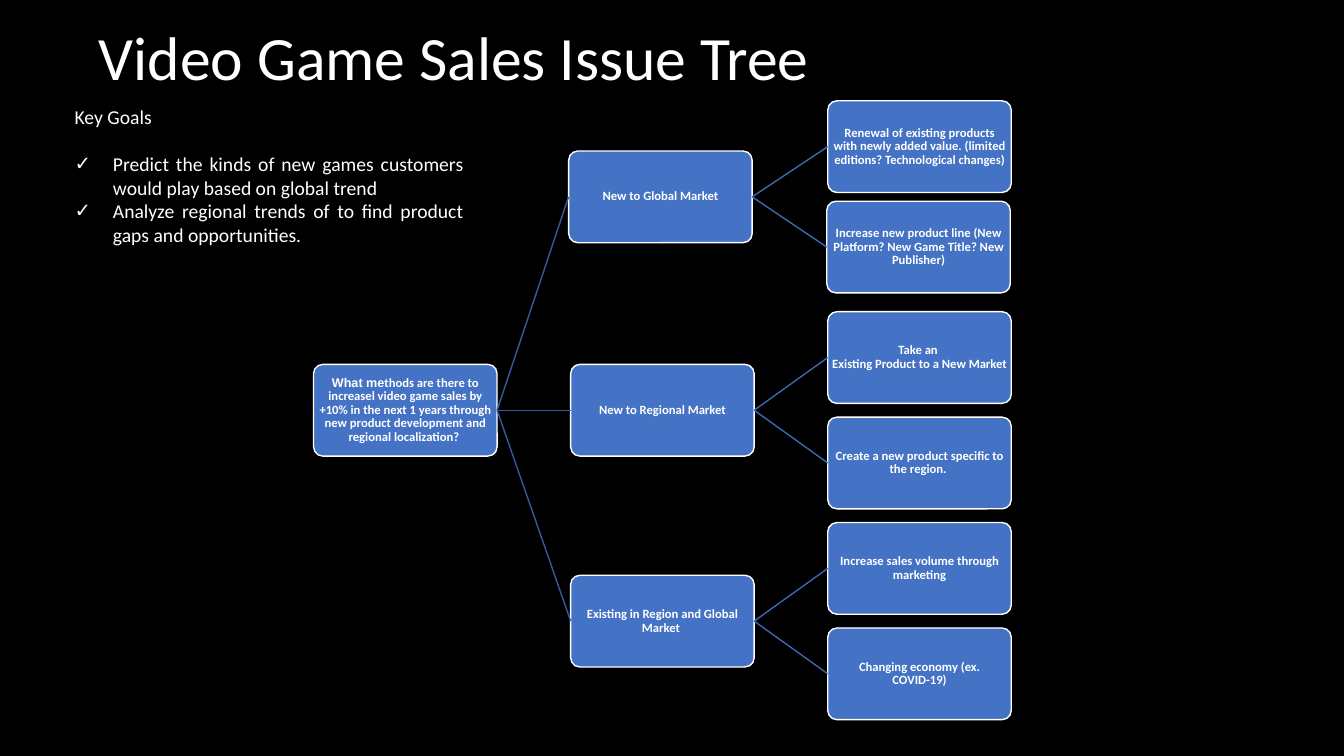
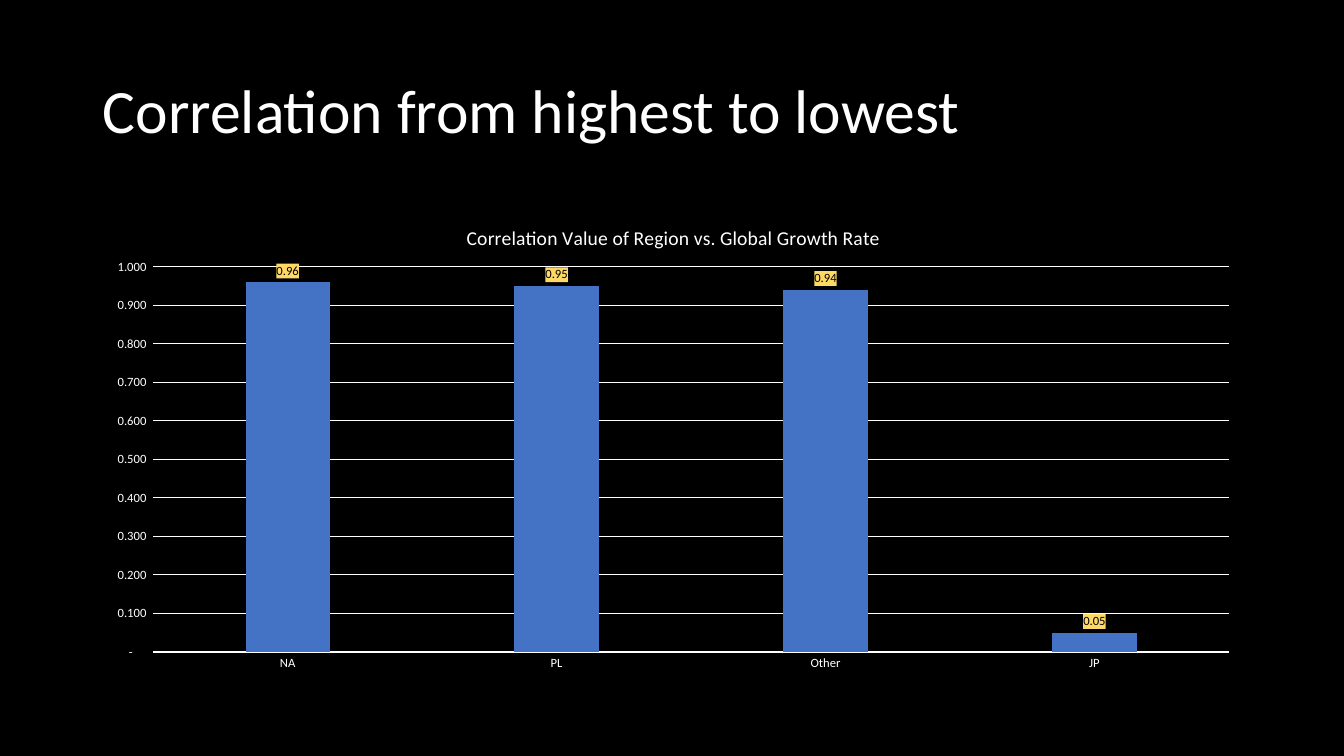
from lxml import etree
from pptx import Presentation
from pptx.chart.data import CategoryChartData
from pptx.dml.color import RGBColor
from pptx.enum.chart import XL_CHART_TYPE, XL_LABEL_POSITION, XL_TICK_MARK
from pptx.enum.shapes import MSO_CONNECTOR, MSO_SHAPE
from pptx.enum.text import MSO_ANCHOR, MSO_AUTO_SIZE, PP_ALIGN
from pptx.oxml import parse_xml
from pptx.oxml.ns import nsdecls, qn
from pptx.util import Inches, Pt

COLUMNS = XL_CHART_TYPE.COLUMN_CLUSTERED
OUTSIDE = XL_LABEL_POSITION.OUTSIDE_END
NO_TICK = XL_TICK_MARK.NONE
STRAIGHT = MSO_CONNECTOR.STRAIGHT
ROUNDED = MSO_SHAPE.ROUNDED_RECTANGLE
TOP, MIDDLE = MSO_ANCHOR.TOP, MSO_ANCHOR.MIDDLE
LEFT, CENTER, JUSTIFY = PP_ALIGN.LEFT, PP_ALIGN.CENTER, PP_ALIGN.JUSTIFY
LEFT_SITE, RIGHT_SITE = 1, 3  # connection sites of a rounded box

BLACK = RGBColor(0x00, 0x00, 0x00)
WHITE = RGBColor(0xFF, 0xFF, 0xFF)
BLUE = RGBColor(0x44, 0x72, 0xC4)
ROOT_LINK = RGBColor(0x36, 0x5B, 0x9D)
LEAF_LINK = RGBColor(0x3E, 0x67, 0xB2)
LABEL_YELLOW = "FFD966"

FONT = "Calibri"
TITLE_FORMAT = {"name": FONT, "size": Pt(44), "bold": False}
GOAL_FORMAT = {"name": FONT, "size": Pt(14)}
NODE_FORMAT = {"name": FONT, "size": Pt(9), "bold": True}
AXIS_FORMAT = {"name": FONT, "size": Pt(9), "bold": False}
CHART_TITLE_FORMAT = {"name": FONT, "size": Pt(14), "bold": False}
NO_MARGINS = dict.fromkeys(
    ("margin_left", "margin_top", "margin_right", "margin_bottom"), 0)
NODE_MARGINS = dict.fromkeys(NO_MARGINS, Inches(0.01))

# Issue tree grid, in inches
NODE_W, NODE_H = 1.82, 0.91
COLUMN_PITCH, ROW_PITCH = 2.55, 1.046

GOALS = [
    "Predict the kinds of new games customers would play based on global trend",
    "Analyze regional trends of to find product gaps and opportunities.",
]
QUESTION_LEAD = "What me"
QUESTION = ("thods are there to increasel video game sales by +10% in the next "
            "1 years through new product development and regional localization? ")
# Branch, its shift, and its leaves with their shifts (inches)
BRANCHES = [
    ("New to Global Market", -0.02, [
        ("Renewal of existing products with newly added value. "
         "(limited editions? Technological changes)", 0, 0),
        ("Increase new product line (New Platform? New Game Title? "
         "New Publisher)", -0.01, -0.05)]),
    ("New to Regional Market", 0, [
        ("Take an \nExisting Product to a New Market", 0, 0),
        ("Create a new product specific to the region. ", 0, 0)]),
    ("Existing in Region and Global Market ", 0, [
        ("Increase sales volume through marketing", 0, 0),
        ("Changing economy (ex. COVID-19)", 0, 0)]),
]
CORRELATIONS = {"NA": 0.96, "PL": 0.95, "Other": 0.94, "JP": 0.05}
CORRELATION_FORMAT = (r'_(* #,##0.000_);_(* \(#,##0.000\);'
                      r'_(* "-"??_);_(@_)')


def apply(target, formats):
    for attribute, value in formats.items():
        setattr(target, attribute, value)


def style_font(font, formats, color=WHITE):
    apply(font, formats)
    font.color.rgb = color


def place(part, box):
    apply(part, dict(zip(("left", "top", "width", "height"),
                         map(Inches, box))))


def add_titled_slide(prs, layout, title, box, anchor, spacing, margins):
    slide = prs.slides.add_slide(prs.slide_layouts[layout])
    heading = slide.shapes.title
    place(heading, box)
    frame = heading.text_frame
    frame.text = title
    apply(frame, {"vertical_anchor": anchor, "word_wrap": True,
                  "auto_size": MSO_AUTO_SIZE.NONE, **margins})
    line = frame.paragraphs[0]
    apply(line, {"alignment": LEFT, "line_spacing": spacing})
    style_font(line.runs[0].font, TITLE_FORMAT)
    return slide


def set_bullet(paragraph, bullet, indent):
    props = paragraph._p.get_or_add_pPr()
    props.set("marL", str(Inches(indent)))
    props.set("indent", str(-Inches(indent)))
    if not bullet:
        etree.SubElement(props, qn("a:buNone"))
        return
    color = etree.SubElement(props, qn("a:buClr"))
    etree.SubElement(color, qn("a:srgbClr")).set("val", str(WHITE))
    etree.SubElement(props, qn("a:buFont")).set("typeface", "Arial")
    etree.SubElement(props, qn("a:buChar")).set("char", bullet)


def fill_goals(goals, box):
    place(goals, box)
    frame = goals.text_frame
    apply(frame, {"word_wrap": True, "auto_size": MSO_AUTO_SIZE.NONE,
                  "vertical_anchor": TOP})
    frame.text = "\n".join(["Key Goals"] + GOALS)
    for index, line in enumerate(frame.paragraphs):
        apply(line, {"alignment": JUSTIFY, "space_before": Pt(0),
                     "space_after": Pt(0 if index else 17)})
        set_bullet(line, "✓" if index else "", 0.38 if index else 0)
        style_font(line.runs[0].font, GOAL_FORMAT)


def add_node(slide, x, y, text, lead=""):
    node = slide.shapes.add_shape(
        ROUNDED, *map(Inches, (x, y, NODE_W, NODE_H)))
    node.adjustments[0] = 0.1
    node.shadow.inherit = False
    node.fill.solid()
    node.fill.fore_color.rgb = BLUE
    node.line.color.rgb = WHITE
    node.line.width = Pt(1)
    frame = node.text_frame
    apply(frame, {"word_wrap": True, "vertical_anchor": MIDDLE,
                  **NODE_MARGINS})
    label = frame.paragraphs[0]
    apply(label, {"alignment": CENTER, "line_spacing": 0.9})
    if lead:
        run = label.add_run()
        run.text = lead
        style_font(run.font, {**NODE_FORMAT, "name": "Arial"})
    for index, part in enumerate(text.split("\n")):
        if index:
            label.add_line_break()
        run = label.add_run()
        run.text = part
        style_font(run.font, NODE_FORMAT)
    return node


def link(slide, parent, child, color):
    branch_line = slide.shapes.add_connector(STRAIGHT, 0, 0, 0, 0)
    branch_line.begin_connect(parent, RIGHT_SITE)
    branch_line.end_connect(child, LEFT_SITE)
    branch_line.line.color.rgb = color
    branch_line.line.width = Pt(1)
    etree.SubElement(branch_line._element.spPr, qn("a:effectLst"))


def add_issue_tree(slide, left, top):
    """Leaves fill the rows; each parent is centred on its children."""
    root_y = top + 2.5 * ROW_PITCH
    root = add_node(slide, left, root_y, QUESTION, QUESTION_LEAD)
    row = 0
    for name, branch_dx, leaves in BRANCHES:
        spots = []
        for text, dx, dy in leaves:
            spots.append((left + 2 * COLUMN_PITCH + dx,
                          top + row * ROW_PITCH + dy, text))
            row += 1
        branch_y = sum(y for _, y, _ in spots) / len(spots)
        branch = add_node(slide, left + COLUMN_PITCH + branch_dx, branch_y, name)
        link(slide, root, branch, ROOT_LINK)
        for spot in spots:
            link(slide, branch, add_node(slide, *spot), LEAF_LINK)


def set_layout(element, index, **shares):
    """Fix a chart part at shares of the chart's size."""
    for old in element.findall(qn("c:layout")):
        element.remove(old)
    layout = etree.Element(qn("c:layout"))
    manual = etree.SubElement(layout, qn("c:manualLayout"))
    if "w" in shares:
        etree.SubElement(manual, qn("c:layoutTarget")).set("val", "inner")
    for key in ("x", "y"):
        etree.SubElement(manual, qn(f"c:{key}Mode")).set("val", "edge")
    for key, share in shares.items():
        etree.SubElement(manual, qn(f"c:{key}")).set("val", str(share))
    element.insert(index, layout)


def style_labels(plot):
    plot.has_data_labels = True
    labels = plot.data_labels
    apply(labels, {"show_value": True, "number_format": "#,##0.00",
                   "number_format_is_linked": False, "position": OUTSIDE})
    style_font(labels.font, AXIS_FORMAT, BLACK)
    labels._element.find(qn("c:numFmt")).addnext(parse_xml(
        f'<c:spPr {nsdecls("c", "a")}><a:solidFill>'
        f'<a:srgbClr val="{LABEL_YELLOW}"/></a:solidFill></c:spPr>'))


def add_correlation_chart(slide, box):
    data = CategoryChartData(number_format="0.00")
    data.categories = list(CORRELATIONS)
    data.add_series("Series 1", list(CORRELATIONS.values()))
    chart = slide.shapes.add_chart(COLUMNS, *map(Inches, box), data).chart
    chart.has_legend = False
    style_font(chart.font, {"name": FONT, "size": Pt(10)})

    # Title and plot area
    chart.has_title = True
    heading = chart.chart_title.text_frame
    heading.text = "Correlation Value of Region vs. Global Growth Rate"
    style_font(heading.paragraphs[0].runs[0].font, CHART_TITLE_FORMAT)
    set_layout(chart.chart_title._element, 1, x=0.32, y=0.04)
    plot_area = chart._chartSpace.chart.plotArea
    set_layout(plot_area, 0, x=0.053, y=0.136, w=0.927, h=0.803)

    # Columns
    plot = chart.plots[0]
    apply(plot, {"gap_width": 219, "overlap": -27, "vary_by_categories": False})
    columns = plot.series[0].format.fill
    columns.solid()
    columns.fore_color.rgb = BLUE
    style_labels(plot)

    # Axes
    regions, scale = chart.category_axis, chart.value_axis
    for axis in (regions, scale):
        apply(axis, {"major_tick_mark": NO_TICK, "minor_tick_mark": NO_TICK})
        style_font(axis.tick_labels.font, AXIS_FORMAT)
    apply(scale, {"minimum_scale": 0, "maximum_scale": 1, "major_unit": 0.1,
                  "has_major_gridlines": True})
    apply(scale.tick_labels, {"number_format": CORRELATION_FORMAT,
                              "number_format_is_linked": False})
    scale.format.line.fill.background()
    for line in (regions.format.line, scale.major_gridlines.format.line):
        line.color.rgb = WHITE
        line.width = Pt(0.75)


def build_tree_slide(prs):
    slide = add_titled_slide(prs, 1, "Video Game Sales Issue Tree",
                             (0.98, 0.19, 9.62, 0.33), TOP, 1.0, NO_MARGINS)
    fill_goals(slide.placeholders[1], (0.64, 0.99, 4.06, 1.7))
    add_issue_tree(slide, 3.11, 1)


def build_correlation_slide(prs):
    slide = add_titled_slide(prs, 5, "Correlation from highest to lowest",
                             (0.92, 0.4, 11.5, 1.45), MIDDLE, 0.9, {})
    add_correlation_chart(slide, (0.91, 2, 11.51, 4.76))


def main():
    prs = Presentation()
    prs.slide_width, prs.slide_height = Inches(13.33), Inches(7.5)
    backdrop = prs.slide_master.background.fill
    backdrop.solid()
    backdrop.fore_color.rgb = BLACK
    build_tree_slide(prs)
    build_correlation_slide(prs)
    prs.save("out.pptx")


main()
